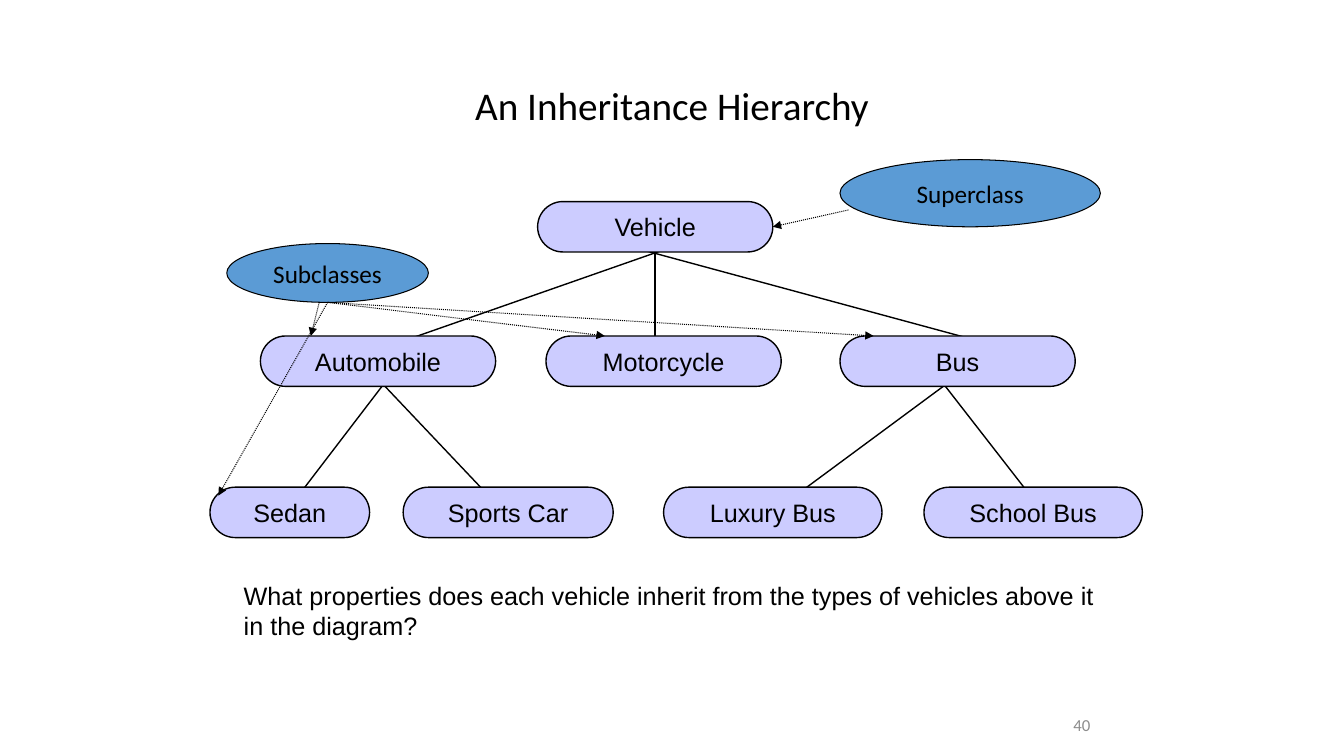
from pptx import Presentation
from pptx.dml.color import RGBColor
from pptx.enum.dml import MSO_LINE
from pptx.enum.shapes import MSO_CONNECTOR, MSO_SHAPE
from pptx.enum.text import MSO_ANCHOR as Anchor, PP_ALIGN as Align
from pptx.oxml.ns import qn
from pptx.util import Pt
from lxml.etree import SubElement

COLORS = {
    "ink": "000000",
    "class": "CCCCFF",
    "callout": "5B9BD5",
    "number": "8C8C8C",
}


class HierarchySlide:
    heading_font = "Calibri"
    body_font = "Arial"

    def __init__(self, slide):
        self.slide = slide

    def color(self, name):
        return RGBColor.from_string(COLORS[name])

    def fill_text(self, shape, text, font, size=18, color="ink",
                  align=Align.CENTER, anchor=Anchor.MIDDLE, wrap=False):
        frame = shape.text_frame
        frame.word_wrap = wrap
        frame.vertical_anchor = anchor
        paragraph = frame.paragraphs[0]
        paragraph.alignment = align
        run = paragraph.add_run()
        run.text = text
        run.font.name = font
        run.font.size = Pt(size)
        run.font.color.rgb = self.color(color)
        return paragraph

    def text(self, text, box, font, **style):
        shape = self.slide.shapes.add_textbox(*map(Pt, box))
        return self.fill_text(shape, text, font, wrap=True, **style)

    def bubble(self, kind, text, box, fill, line_width, font):
        shape = self.slide.shapes.add_shape(kind, *map(Pt, box))
        shape.shadow.inherit = False
        shape.fill.solid()
        shape.fill.fore_color.rgb = self.color(fill)
        shape.line.color.rgb = self.color("ink")
        shape.line.width = Pt(line_width)
        self.fill_text(shape, text, font)
        return shape

    def class_node(self, text, left, top, width):
        node = self.bubble(MSO_SHAPE.ROUNDED_RECTANGLE, text,
                           (left, top, width, 36), "class", 1, self.body_font)
        node.adjustments[0] = 0.5

    def callout(self, text, box):
        self.bubble(MSO_SHAPE.OVAL, text, box, "callout", 0.75, self.heading_font)

    def branch(self, start, end, width=1):
        line = self.slide.shapes.add_connector(
            MSO_CONNECTOR.STRAIGHT, *map(Pt, start + end))
        line.line.color.rgb = self.color("ink")
        line.line.width = Pt(width)
        SubElement(line._element.spPr, qn("a:effectLst"))
        return line

    def pointer(self, start, end):
        arrow = self.branch(start, end, 0.75)
        arrow.line.dash_style = MSO_LINE.ROUND_DOT
        outline = arrow._element.spPr.find(qn("a:ln"))
        SubElement(outline, qn("a:tailEnd"), type="triangle")


def main():
    deck = Presentation()
    deck.slide_width, deck.slide_height = Pt(960), Pt(540)
    page = HierarchySlide(deck.slides.add_slide(deck.slide_layouts[6]))

    # Title and slide number
    page.text("40", (636, 500, 150, 36), page.heading_font, size=12,
              color="number", align=Align.RIGHT)
    title = page.text("An Inheritance Hierarchy", (174, 30, 612, 66),
                      page.heading_font, size=28, anchor=Anchor.BOTTOM)
    title.line_spacing = 0.9

    # Branches run behind the class nodes
    for start, end in [
        ((504, 168), (264, 252)),
        ((468, 162), (468, 264)),
        ((420, 168), (708, 246)),
        ((282, 264), (204, 366)),
        ((258, 258), (366, 372)),
        ((690, 264), (552, 366)),
        ((666, 264), (750, 372)),
    ]:
        page.branch(start, end)

    # Class nodes, one row per level: top, then (name, left, width)
    levels = [
        (144, [("Vehicle", 384, 168)]),
        (240, [("Automobile", 186, 168), ("Motorcycle", 390, 168),
               ("Bus", 600, 168)]),
        (348, [("Sedan", 150, 114), ("Sports Car", 288, 150),
               ("Luxury Bus", 474, 156), ("School Bus", 660, 156)]),
    ]
    for top, classes in levels:
        for name, left, width in classes:
            page.class_node(name, left, top, width)

    # Question
    page.text("What properties does each vehicle inherit from the types of "
              "vehicles above it in the diagram?", (167, 411, 625, 51),
              page.body_font, align=Align.LEFT, anchor=Anchor.TOP)

    # Superclass callout
    page.callout("Superclass", (600, 114, 186, 48))
    page.pointer((606, 150), (552, 162))

    # Subclasses callout
    page.callout("Subclasses", (162, 174, 144, 42))
    page.pointer((228, 216), (222, 240))
    for target in [(432, 240), (624, 240), (156, 354)]:
        page.pointer((234, 216), target)

    deck.save("out.pptx")


if __name__ == "__main__":
    main()
